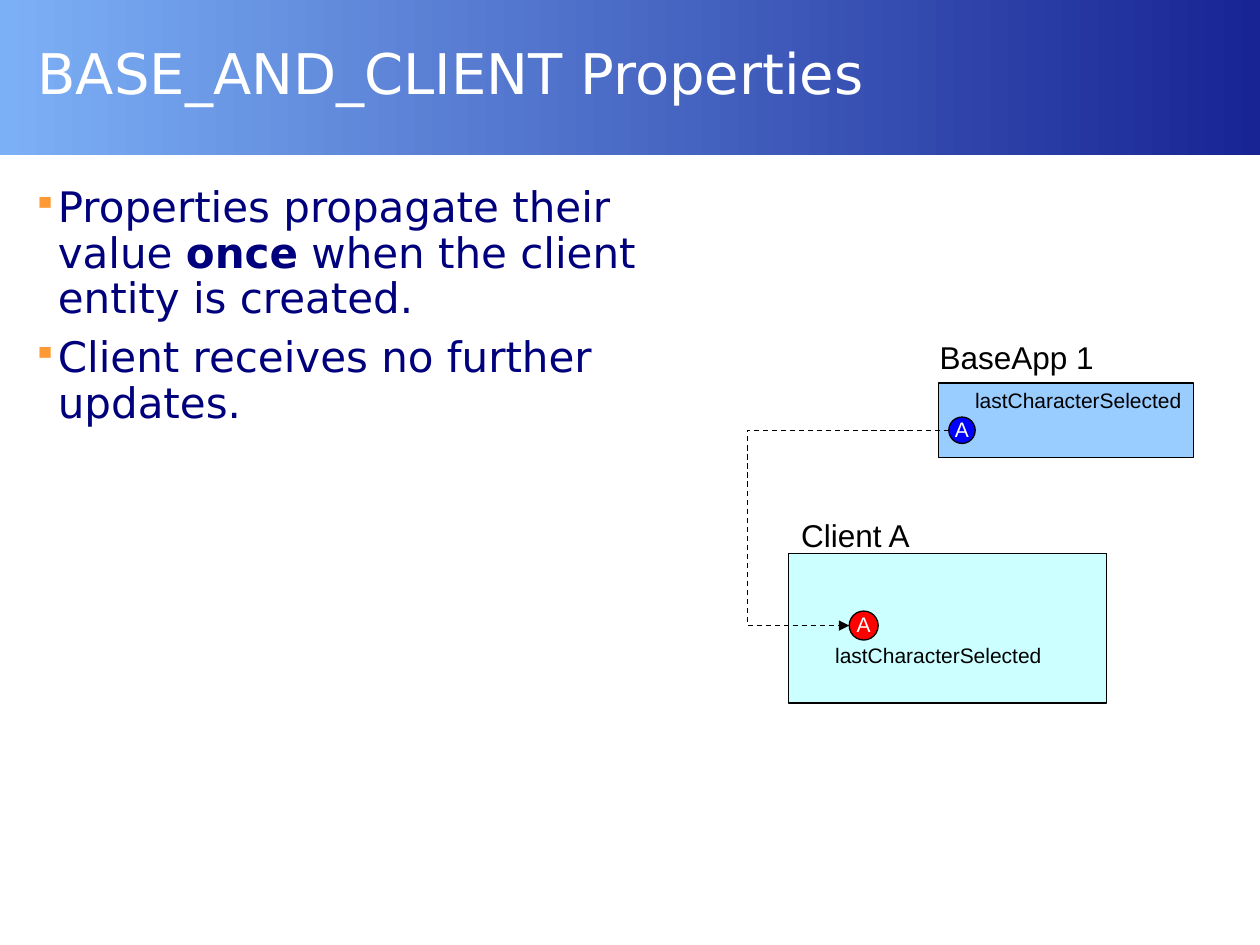
"""Build the slide on BASE_AND_CLIENT properties."""
from typing import NamedTuple

from lxml.etree import SubElement
from pptx import Presentation
from pptx.dml.color import RGBColor
from pptx.enum.dml import MSO_LINE
from pptx.enum.shapes import MSO_CONNECTOR, MSO_SHAPE
from pptx.enum.text import MSO_ANCHOR, MSO_AUTO_SIZE, PP_ALIGN
from pptx.oxml.ns import qn
from pptx.shapes.autoshape import Shape
from pptx.shapes.connector import Connector
from pptx.slide import Slide
from pptx.text.text import TextFrame, _Paragraph as Paragraph
from pptx.util import Inches, Pt

BLACK = RGBColor(0x00, 0x00, 0x00)
WHITE = RGBColor(0xFF, 0xFF, 0xFF)
NAVY = RGBColor(0x00, 0x00, 0x7D)
BANNER_LIGHT = RGBColor(0x7C, 0xB0, 0xF6)
BANNER_DARK = RGBColor(0x18, 0x24, 0x94)
CLIENT_FILL = RGBColor(0xCC, 0xFF, 0xFF)
BASE_FILL = RGBColor(0x99, 0xCC, 0xFF)
RED = RGBColor(0xFF, 0x00, 0x00)
BLUE = RGBColor(0x00, 0x00, 0xFF)
BULLET_ORANGE = "FF9933"
HEADING_FONT = "DejaVu Sans"
LABEL_FONT = "Arial"


class Box(NamedTuple):
    left: float
    top: float
    width: float
    height: float


class Label(NamedTuple):
    text: str
    box: Box
    size: int


class Entity(NamedTuple):
    area: Box
    area_fill: RGBColor
    marker: Box
    marker_fill: RGBColor
    labels: tuple[Label, ...]


class Run(NamedTuple):
    text: str
    bold: bool = False


BASE = Entity(
    Box(7.45, 3.04, 2.02, 0.59), BASE_FILL, Box(7.53, 3.31, 0.21, 0.21), BLUE,
    (Label("BaseApp 1", Box(7.36, 2.66, 1.42, 0.38), 18),
     Label("lastCharacterSelected", Box(7.64, 3.04, 1.84, 0.29), 12)))
CLIENT = Entity(
    Box(6.26, 4.39, 2.52, 1.19), CLIENT_FILL, Box(6.74, 4.85, 0.23, 0.23), RED,
    (Label("Client A", Box(6.26, 4.07, 1.07, 0.38), 18),
     Label("lastCharacterSelected", Box(6.53, 5.07, 1.84, 0.29), 12)))
BULLETS = (
    (Run("Properties propagate their value "), Run("once", True),
     Run(" when the client entity is created.")),
    (Run("Client receives no further updates."),),
)


def inches(box: Box) -> list[Inches]:
    return [Inches(length) for length in box]


def write_text(frame: TextFrame, *paragraphs: tuple[Run, ...], size: int,
               color: RGBColor, font: str = LABEL_FONT, spacing: float = 0.93,
               space_before: int = 0, align: PP_ALIGN = PP_ALIGN.LEFT,
               anchor: MSO_ANCHOR = MSO_ANCHOR.TOP, wrap: bool = False,
               insets: tuple[float, ...] = (0.1, 0.05, 0.1, 0.05),
               bulleted: bool = False) -> None:
    frame.word_wrap = wrap
    frame.vertical_anchor = anchor
    (frame.margin_left, frame.margin_top,
     frame.margin_right, frame.margin_bottom) = map(Inches, insets)
    for index, runs in enumerate(paragraphs):
        paragraph = frame.add_paragraph() if index else frame.paragraphs[0]
        paragraph.alignment = align
        paragraph.line_spacing = spacing
        if index:
            paragraph.space_before = Pt(space_before)
        if bulleted:
            add_bullet(paragraph)
        for part in runs:
            run = paragraph.add_run()
            run.text = part.text
            run.font.name = font
            run.font.size = Pt(size)
            run.font.bold = part.bold
            run.font.color.rgb = color


def add_bullet(paragraph: Paragraph) -> None:
    properties = paragraph._p.get_or_add_pPr()
    properties.set("marL", str(Inches(0.2)))
    properties.set("indent", str(-Inches(0.2)))
    color = SubElement(properties, qn("a:buClr"))
    SubElement(color, qn("a:srgbClr"), val=BULLET_ORANGE)
    SubElement(properties, qn("a:buSzPct"), val="80000")
    SubElement(properties, qn("a:buChar"), char="▪")


def add_shape(slide: Slide, kind: MSO_SHAPE, box: Box, fill: RGBColor) -> Shape:
    shape = slide.shapes.add_shape(kind, *inches(box))
    shape.shadow.inherit = False
    shape.fill.solid()
    shape.fill.fore_color.rgb = fill
    shape.line.color.rgb = BLACK
    shape.line.width = Pt(0.75)
    return shape


def add_banner(slide: Slide) -> None:
    banner = slide.shapes.add_shape(MSO_SHAPE.RECTANGLE, *inches(Box(0, 0, 10, 1.23)))
    banner.shadow.inherit = False
    banner.line.fill.background()
    banner.fill.gradient()
    banner.fill.gradient_angle = 0
    for stop, color in zip(banner.fill.gradient_stops, (BANNER_LIGHT, BANNER_DARK)):
        stop.color.rgb = color
    title = slide.shapes.add_textbox(*inches(Box(0.2, 0, 9.57, 1.15)))
    write_text(title.text_frame, (Run("BASE_AND_CLIENT Properties"),), size=32,
               color=WHITE, font=HEADING_FONT, spacing=1.01, wrap=True,
               anchor=MSO_ANCHOR.MIDDLE, insets=(0.1, 0.04, 0.1, 0.05))


def add_entity(slide: Slide, entity: Entity) -> None:
    add_shape(slide, MSO_SHAPE.RECTANGLE, entity.area, entity.area_fill)
    marker = add_shape(slide, MSO_SHAPE.OVAL, entity.marker, entity.marker_fill)
    write_text(marker.text_frame, (Run("A"),), size=12, color=WHITE,
               align=PP_ALIGN.CENTER, anchor=MSO_ANCHOR.MIDDLE)
    for label in entity.labels:
        frame = slide.shapes.add_textbox(*inches(label.box)).text_frame
        write_text(frame, (Run(label.text),), size=label.size, color=BLACK)
        frame.auto_size = MSO_AUTO_SIZE.SHAPE_TO_FIT_TEXT


def add_propagation_arrow(slide: Slide, source: Box, target: Box, bend: float) -> Connector:
    arrow = slide.shapes.add_connector(
        MSO_CONNECTOR.ELBOW,
        Inches(source.left), Inches(source.top + source.height / 2),
        Inches(target.left), Inches(target.top + target.height / 2))
    ratio = (source.left - bend) / (source.left - target.left)
    properties = arrow._element.spPr
    adjustments = properties.find(qn("a:prstGeom")).get_or_add_avLst()
    SubElement(adjustments, qn("a:gd"), name="adj1", fmla=f"val {round(ratio * 100000)}")
    arrow.line.color.rgb = BLACK
    arrow.line.width = Pt(0.75)
    arrow.line.dash_style = MSO_LINE.DASH
    SubElement(arrow.line._get_or_add_ln(), qn("a:tailEnd"), type="triangle")
    SubElement(properties, qn("a:effectLst"))
    return arrow


def main() -> None:
    presentation = Presentation()
    presentation.slide_width = Inches(10)
    presentation.slide_height = Inches(7.5)
    slide = presentation.slides.add_slide(presentation.slide_layouts[6])
    add_banner(slide)
    for entity in (CLIENT, BASE):
        add_entity(slide, entity)
    add_propagation_arrow(slide, BASE.marker, CLIENT.marker, bend=5.93)
    body = slide.shapes.add_textbox(*inches(Box(0.2, 1.47, 5.04, 5.51)))
    write_text(body.text_frame, *BULLETS, size=24, color=NAVY, font=HEADING_FONT,
               spacing=0.9, space_before=8, wrap=True, bulleted=True,
               insets=(0.06, 0.01, 0.04, 0.05))
    presentation.save("out.pptx")


if __name__ == "__main__":
    main()
